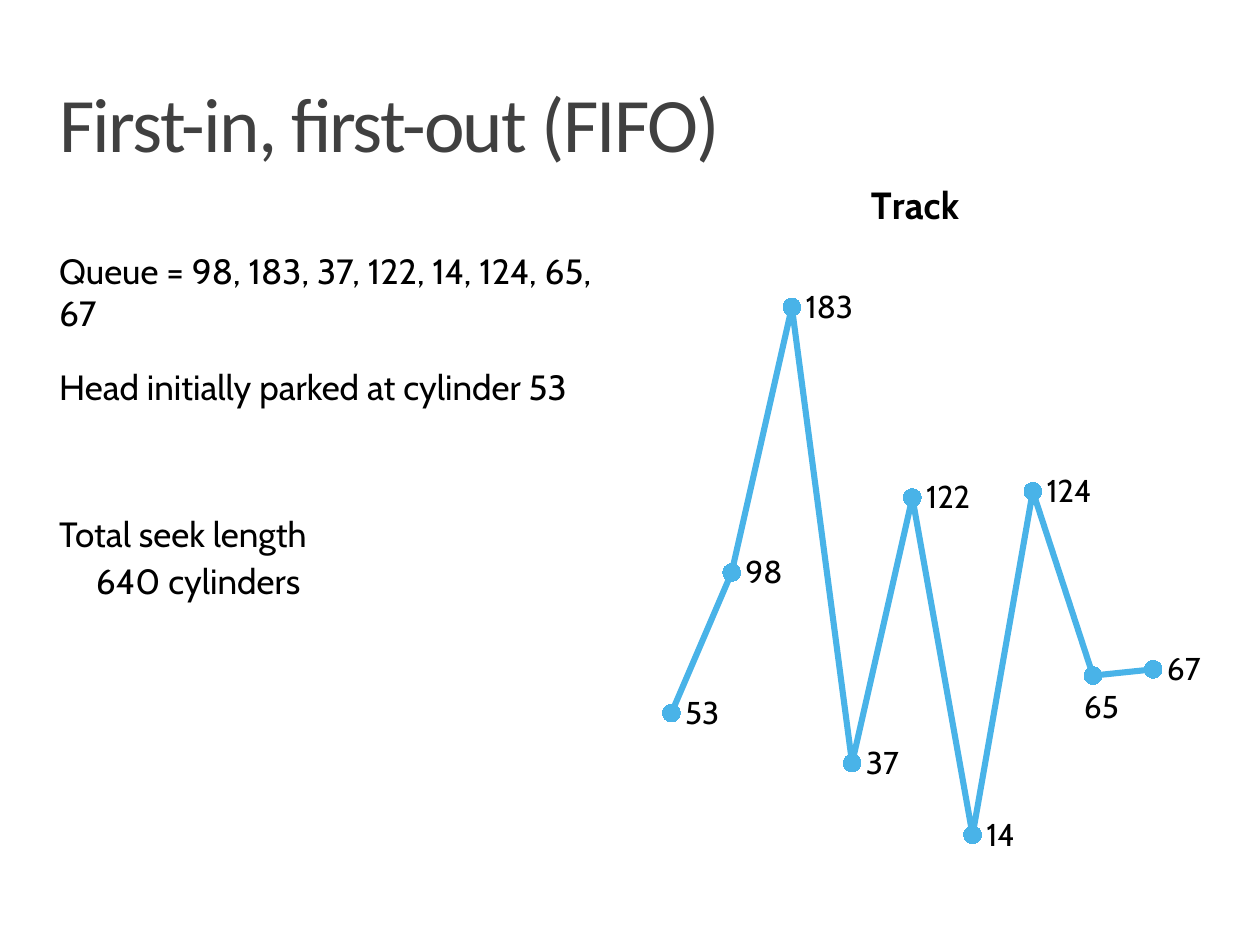
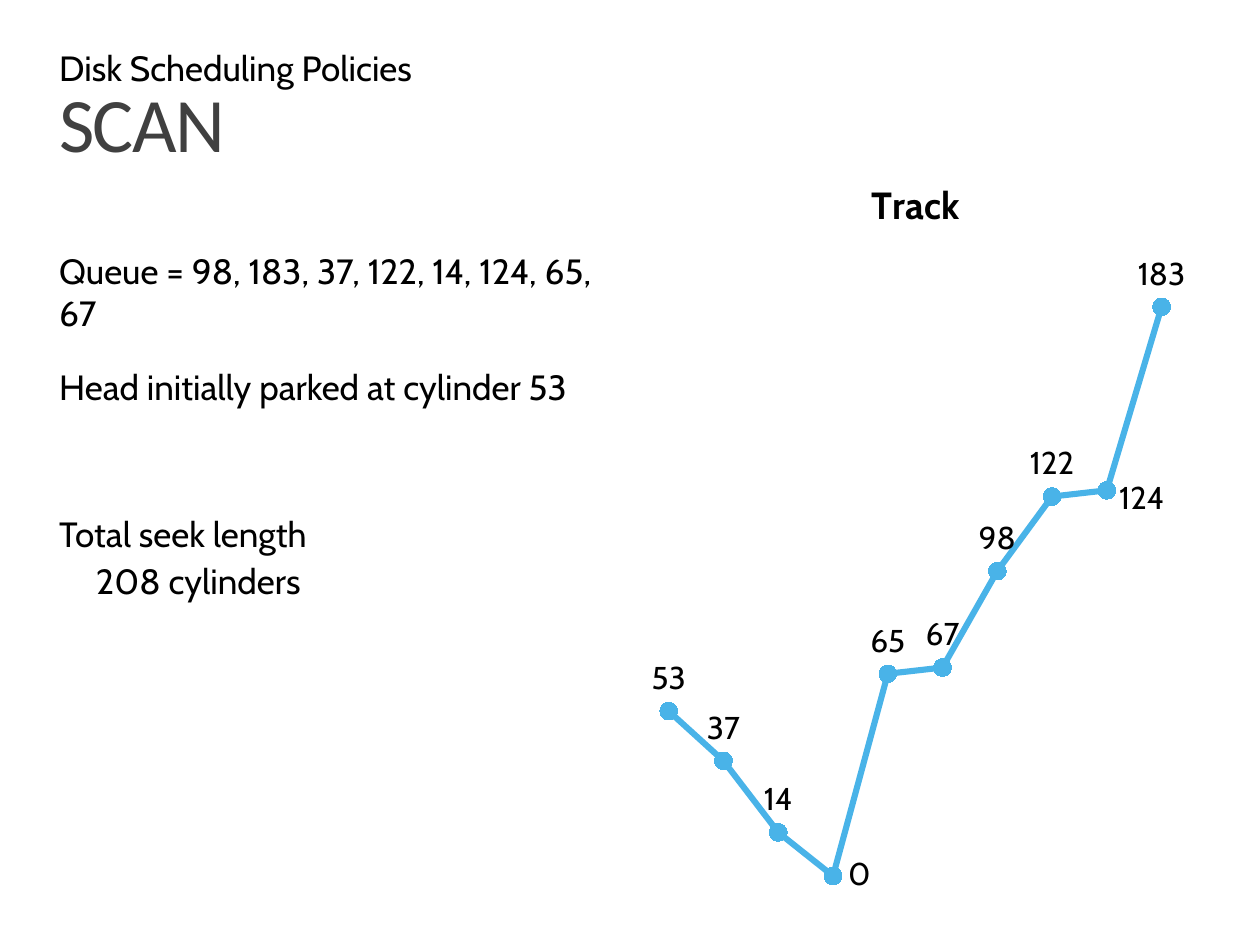
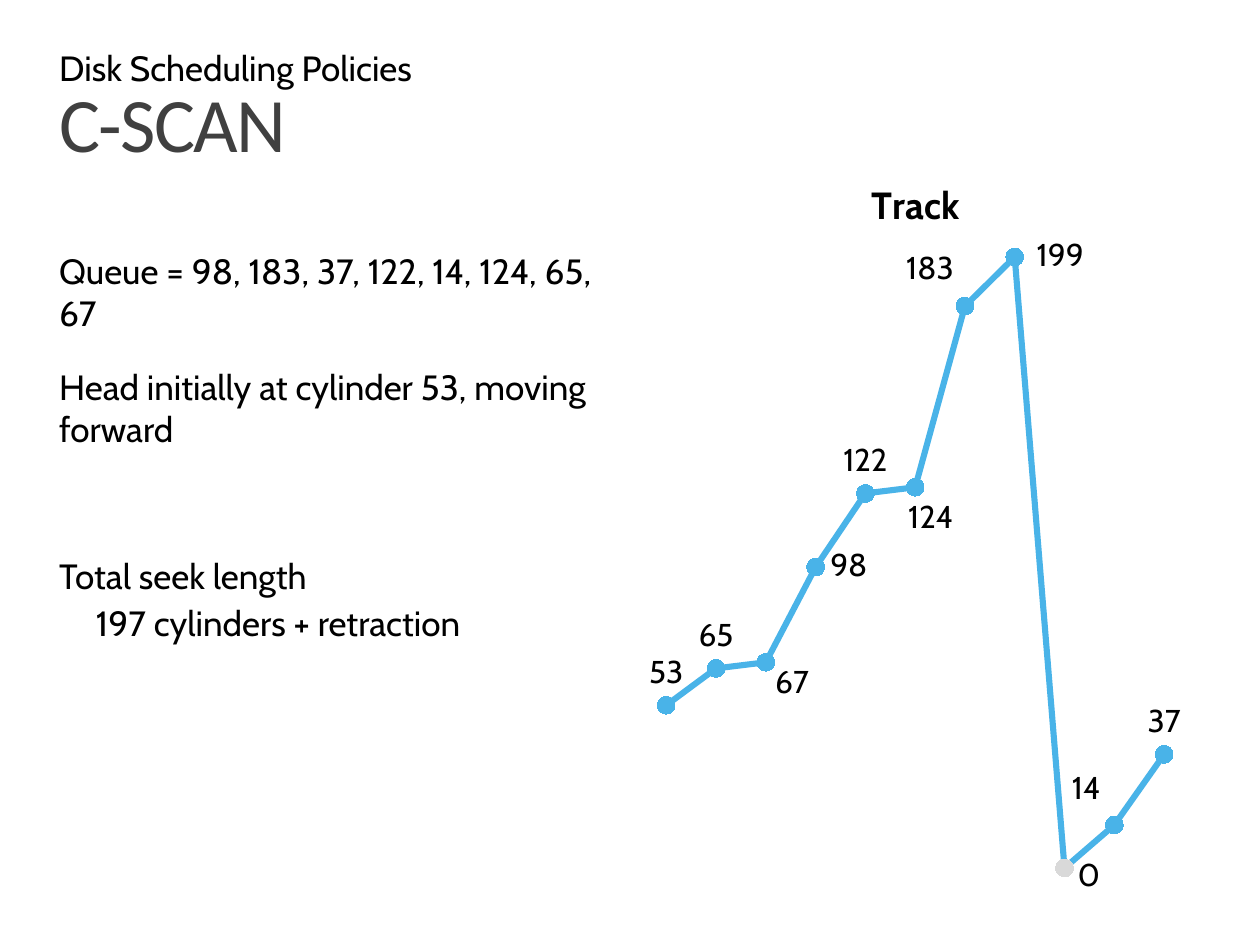
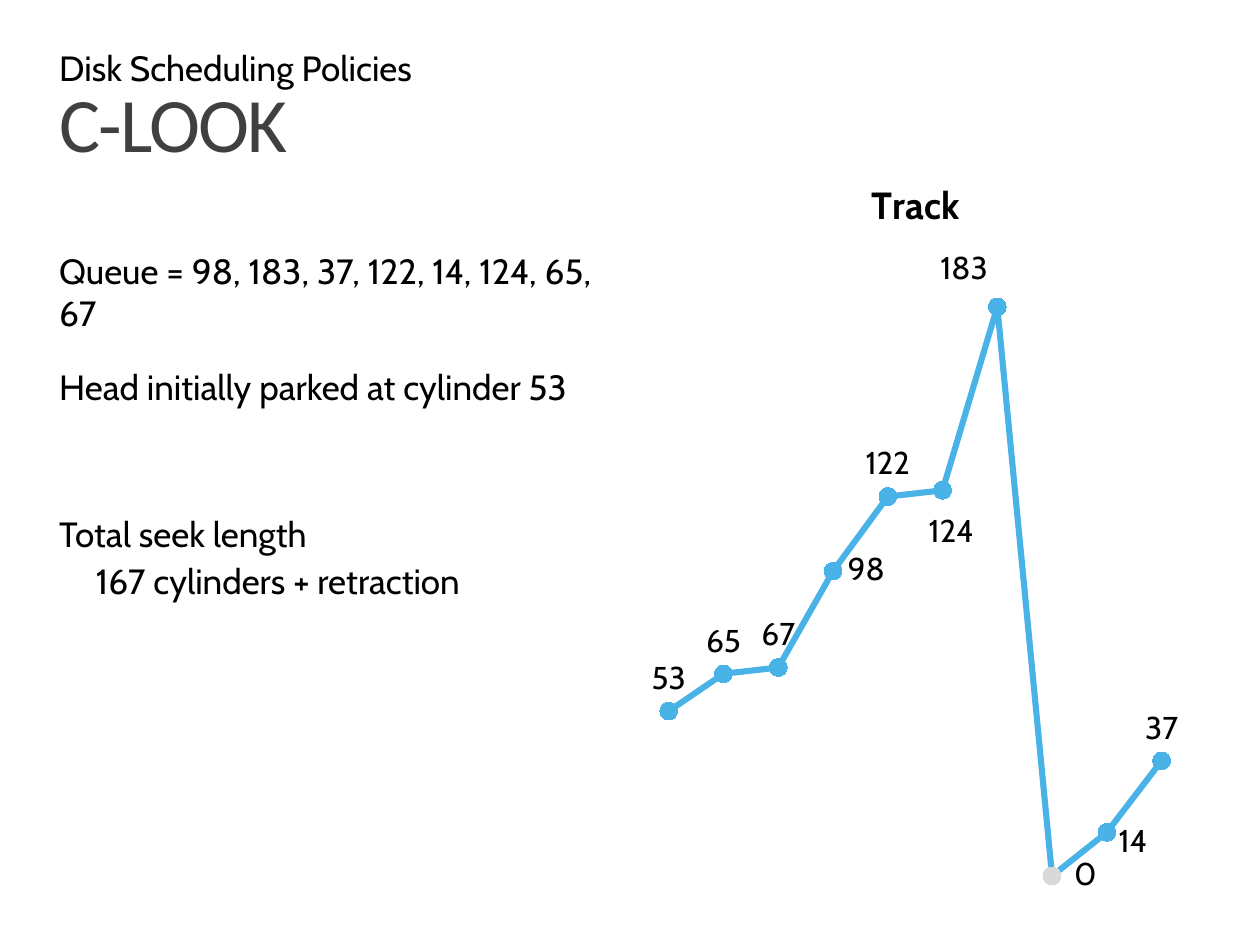
from dataclasses import dataclass

from lxml.etree import SubElement
from pptx import Presentation
from pptx.chart.data import CategoryChartData
from pptx.dml.color import RGBColor
from pptx.enum.chart import XL_CHART_TYPE, XL_LABEL_POSITION, XL_MARKER_STYLE
from pptx.enum.text import MSO_ANCHOR
from pptx.oxml.ns import qn
from pptx.util import Pt

TOPIC = "Disk Scheduling Policies"
QUEUE = "Queue = 98, 183, 37, 122, 14, 124, 65, 67"
PARKED = "Head initially parked at cylinder 53"
RIGHT, ABOVE = XL_LABEL_POSITION.RIGHT, XL_LABEL_POSITION.ABOVE

POLICIES = [
    dict(title="First-in, first-out (FIFO)", topic=None, head=PARKED,
         total="640 cylinders",
         tracks=[53, 98, 183, 37, 122, 14, 124, 65, 67],
         label_pos=RIGHT, nudges={7: (-13, 18)}, retracted=None,
         plot=(310, 357)),
    dict(title="SCAN", topic=TOPIC, head=PARKED, total="208 cylinders",
         tracks=[53, 37, 14, 0, 65, 67, 98, 122, 124, 183],
         label_pos=ABOVE, nudges={3: (15, 18), 8: (20, 23)}, retracted=None,
         plot=(313, 355.5)),
    dict(title="C-SCAN", topic=TOPIC,
         head="Head initially at cylinder 53, moving forward",
         total="197 cylinders + retraction",
         tracks=[53, 65, 67, 98, 122, 124, 183, 199, 0, 14, 37],
         label_pos=ABOVE,
         nudges={2: (15, 30), 3: (19, 18), 5: (9, 36), 6: (-20, -3),
                 7: (26, 18), 8: (14, 23), 9: (-16, -2)},
         retracted=8, plot=(313, 351)),
    dict(title="C-LOOK", topic=TOPIC, head=PARKED,
         total="167 cylinders + retraction",
         tracks=[53, 65, 67, 98, 122, 124, 183, 0, 14, 37],
         label_pos=ABOVE,
         nudges={3: (19, 18), 5: (5, 42), 6: (-19, -3), 7: (19, 18),
                 8: (15, 24)},
         retracted=7, plot=(313, 355.5)),
]


@dataclass(frozen=True)
class Theme:
    heading_font: str = "Calibri"
    body_font: str = "Cabin"
    heading: RGBColor = RGBColor(0x40, 0x40, 0x40)
    text: RGBColor = RGBColor(0, 0, 0)
    line: RGBColor = RGBColor(0x49, 0xB3, 0xE8)
    muted: RGBColor = RGBColor(0xD9, 0xD9, 0xD9)
    title_size: float = 44
    body_size: float = 20
    chart_size: float = 18
    chart_title_size: float = 21.6


T = Theme()
TITLE_BOX = (33.84, 50.4, 652.32, 64.08)
TOPIC_BOX = (33.84, 22.32, 652.32, 28.08)
BODY_BOX = (33.84, 142.56, 304.56, 368.64)
CHART_BOX = (360, 85.68, 326.16, 425.52)
PLOT_ORIGIN = (6.5, 59.5)


def set_font(font, name, size, color, bold=None):
    font.name, font.size, font.bold = name, Pt(size), bold
    font.color.rgb = color


def add_text(slide, box, paragraphs, name, size, color, inset=0,
             anchor=MSO_ANCHOR.TOP):
    tf = slide.shapes.add_textbox(*map(Pt, box)).text_frame
    tf.word_wrap, tf.vertical_anchor = True, anchor
    tf.margin_left = tf.margin_right = tf.margin_bottom = 0
    tf.margin_top = Pt(inset)
    for i, (text, before, indent) in enumerate(paragraphs):
        p = tf.add_paragraph() if i else tf.paragraphs[0]
        p.add_run().text = text
        p.space_before = Pt(before)
        if indent:
            p.level = 1
            pPr = p._p.get_or_add_pPr()
            pPr.set("marL", str(Pt(indent)))
            pPr.set("indent", "0")
        set_font(p.font, name, size, color)
    return tf


def add_title(slide, title):
    tf = add_text(slide, TITLE_BOX, [(title, 0, 0)], T.heading_font,
                  T.title_size, T.heading, inset=3)
    p = tf.paragraphs[0]
    p.line_spacing = 0.8
    p.runs[0]._r.get_or_add_rPr().set("spc", "-100")


def fill_layout(layout, values):
    manual = SubElement(layout, qn("c:manualLayout"))
    for tag, value in values.items():
        value = value if isinstance(value, str) else f"{value:.4f}"
        SubElement(manual, qn(f"c:{tag}")).set("val", value)


def place_plot(chart, size):
    area = chart._chartSpace.chart.plotArea
    layout = area.find(qn("c:layout"))
    if layout is None:
        layout = SubElement(area, qn("c:layout"))
        area.insert(0, layout)
    (x, y), (w, h) = PLOT_ORIGIN, size
    width, height = CHART_BOX[2:]
    fill_layout(layout, dict(layoutTarget="inner", xMode="edge", yMode="edge",
                             x=x / width, y=y / height,
                             w=w / width, h=h / height))


def label_points(series, position, nudges):
    labels = series.data_labels
    labels.show_value, labels.position = True, position
    set_font(labels.font, T.body_font, T.chart_size, T.text)
    for i in nudges:
        series.points[i].data_label.position = position
    for leader in labels._element.findall(qn("c:showLeaderLines")):
        leader.set("val", "0")
    for label in labels._element.findall(qn("c:dLbl")):
        dx, dy = nudges[int(label[0].get("val"))]
        layout = SubElement(label, qn("c:layout"))
        label[0].addnext(layout)
        fill_layout(layout, dict(x=dx / CHART_BOX[2], y=dy / CHART_BOX[3]))


def color_marker(marker, color):
    marker.style, marker.size = XL_MARKER_STYLE.CIRCLE, 10
    marker.format.fill.solid()
    marker.format.fill.fore_color.rgb = color
    marker.format.line.color.rgb = color


def add_track_chart(slide, policy):
    tracks = policy["tracks"]
    data = CategoryChartData()
    data.categories = [str(i + 1) for i in range(len(tracks))]
    data.add_series("Track", tracks)
    chart = slide.shapes.add_chart(XL_CHART_TYPE.LINE_MARKERS,
                                   *map(Pt, CHART_BOX), data).chart
    set_font(chart.font, T.body_font, T.chart_size, T.text)
    chart.has_legend = False
    p = chart.chart_title.text_frame.paragraphs[0]
    p.add_run().text = "Track"
    set_font(p.font, T.body_font, T.chart_title_size, T.text, bold=True)

    for axis in (chart.category_axis, chart.value_axis):
        axis.has_major_gridlines = False
        axis.visible = False
    chart.value_axis.minimum_scale = 0
    chart.value_axis.maximum_scale = 200
    place_plot(chart, policy["plot"])

    plot = chart.plots[0]
    plot.vary_by_categories = False
    series = plot.series[0]
    series.smooth = False
    series.format.line.color.rgb = T.line
    series.format.line.width = Pt(3.5)
    color_marker(series.marker, T.line)
    if policy["retracted"] is not None:
        point = series.points[policy["retracted"]]
        color_marker(point.marker, T.muted)
        point.format.line.color.rgb = T.muted
        point.format.line.width = Pt(3.5)
    label_points(series, policy["label_pos"], policy["nudges"])


def add_policy(prs, policy):
    slide = prs.slides.add_slide(prs.slide_layouts[6])
    add_title(slide, policy["title"])
    facts = [(QUEUE, 0, 0), (policy["head"], 18, 0),
             ("Total seek length", 60, 0), (policy["total"], 3, 21)]
    add_text(slide, BODY_BOX, facts, T.body_font, T.body_size, T.text)
    if policy["topic"]:
        add_text(slide, TOPIC_BOX, [(policy["topic"], 0, 0)], T.body_font,
                 T.body_size, T.text, anchor=MSO_ANCHOR.BOTTOM)
    add_track_chart(slide, policy)


def main():
    prs = Presentation()
    prs.slide_width, prs.slide_height = Pt(720), Pt(540)
    for policy in POLICIES:
        add_policy(prs, policy)
    prs.save("out.pptx")


if __name__ == "__main__":
    main()
